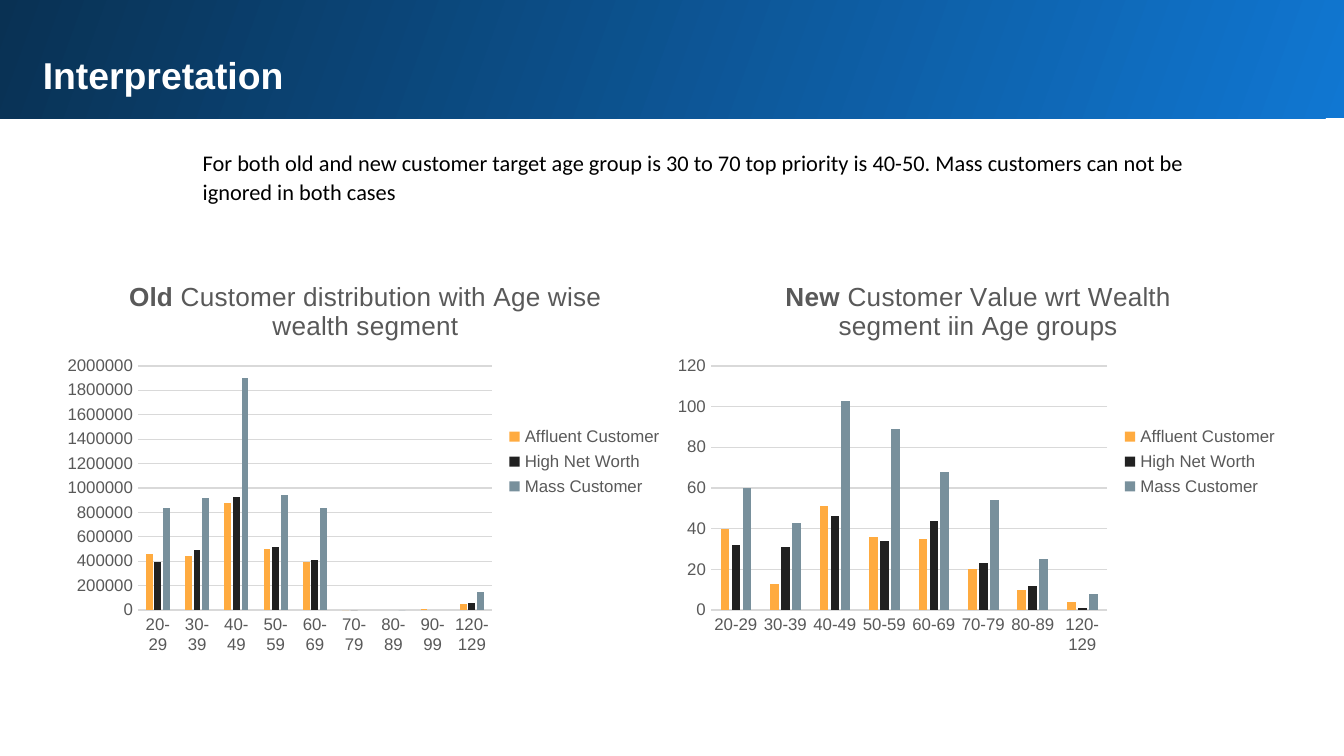
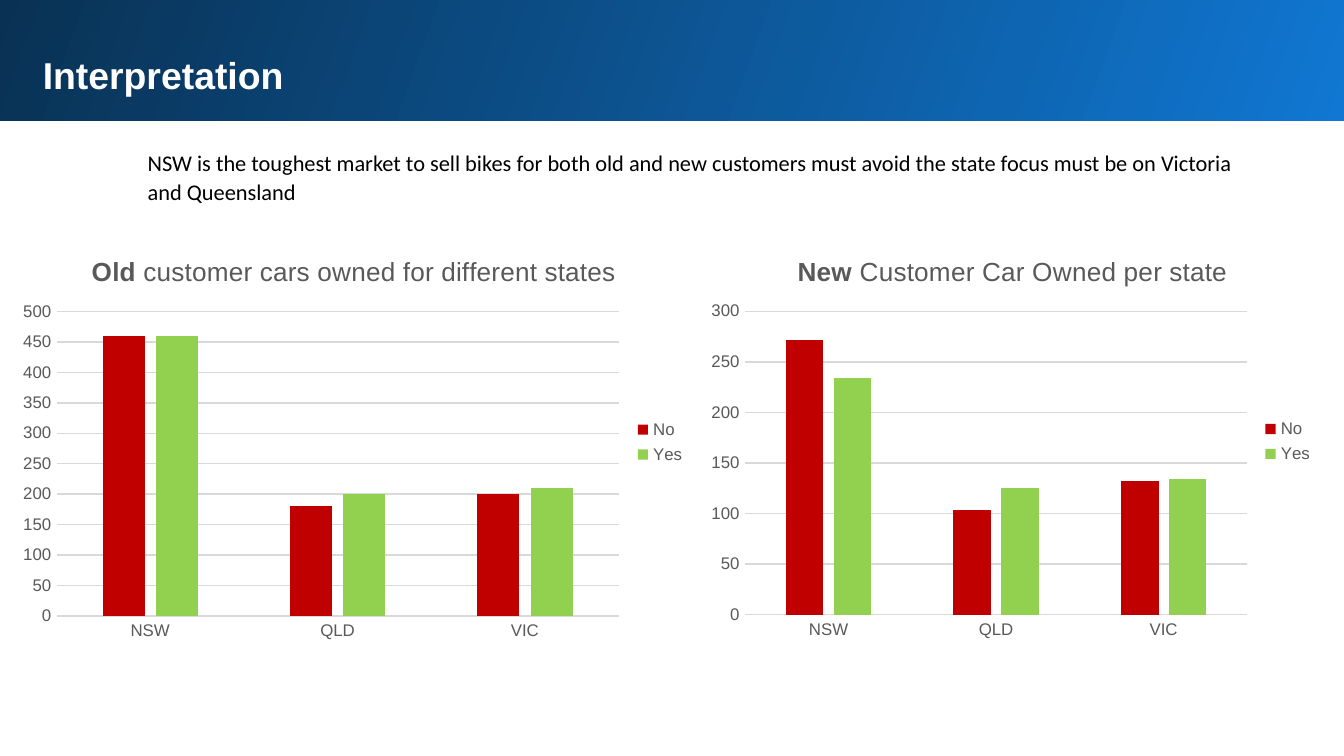
from pptx import Presentation
from pptx.chart.data import CategoryChartData
from pptx.dml.color import RGBColor
from pptx.enum.chart import XL_CHART_TYPE, XL_LEGEND_POSITION, XL_TICK_MARK
from pptx.enum.shapes import MSO_SHAPE
from pptx.enum.text import MSO_AUTO_SIZE
from pptx.util import Inches, Pt

BRIGHT_BLUE = RGBColor(0x10, 0x77, 0xD2)
NAVY = RGBColor(0x09, 0x31, 0x53)
WHITE = RGBColor(0xFF, 0xFF, 0xFF)
BLACK = RGBColor(0x00, 0x00, 0x00)
GRAY = RGBColor(0x59, 0x59, 0x59)
GRID_GRAY = RGBColor(0xD9, 0xD9, 0xD9)

WEALTH_COLORS = {
    "Affluent Customer": RGBColor(0xFF, 0xAB, 0x40),
    "High Net Worth": RGBColor(0x21, 0x21, 0x21),
    "Mass Customer": RGBColor(0x78, 0x90, 0x9C),
}
CAR_COLORS = {
    "No": RGBColor(0xC0, 0x00, 0x00),
    "Yes": RGBColor(0x92, 0xD0, 0x50),
}

STATES = ["NSW", "QLD", "VIC"]
DECADES = [f"{age}-{age + 9}" for age in range(20, 100, 10)]
OLDEST = "120-129"


def inches(box):
    return [Inches(length) for length in box]


def style_font(font, name, size, color, bold=False):
    font.name = name
    font.size = Pt(size)
    font.bold = bold
    font.color.rgb = color


def add_text(slide, box, text, inset, **font):
    """Add a one-run text box and return its paragraph."""
    frame = slide.shapes.add_textbox(*inches(box)).text_frame
    frame.word_wrap = True
    frame.auto_size = MSO_AUTO_SIZE.SHAPE_TO_FIT_TEXT
    frame.margin_top = frame.margin_bottom = Inches(inset)
    paragraph = frame.paragraphs[0]
    run = paragraph.add_run()
    run.text = text
    style_font(run.font, **font)
    return paragraph


def add_header(slide, band_top, title_height):
    band = slide.shapes.add_shape(
        MSO_SHAPE.RECTANGLE, *inches((-0.02, band_top, 10.05, 0.92)))
    band.shadow.inherit = False
    band.line.fill.background()
    band.fill.gradient()
    band.fill.gradient_angle = 160
    for stop, color in zip(band.fill.gradient_stops, (BRIGHT_BLUE, NAVY)):
        stop.color.rgb = color
    add_text(slide, (0.22, 0.29, 9.37, title_height), "Interpretation", 0.1,
             name="Arial", size=20, color=WHITE, bold=True)


def add_finding(slide, box, text):
    paragraph = add_text(slide, box, text, 0.05,
                         name="Calibri", size=12, color=BLACK)
    paragraph.level = 2
    paragraph.line_spacing = 1.07
    properties = paragraph._p.get_or_add_pPr()
    properties.set("marL", str(Inches(1)))
    properties.set("indent", "0")


def style_axis(axis):
    axis.major_tick_mark = axis.minor_tick_mark = XL_TICK_MARK.NONE
    style_font(axis.tick_labels.font, "Arial", 9, GRAY)


def add_column_chart(slide, box, title, categories, values, colors):
    """Add clustered columns; title is a (bold part, plain part) pair."""
    data = CategoryChartData()
    data.categories = categories
    for name, series_values in zip(colors, values):
        data.add_series(name, series_values)
    chart = slide.shapes.add_chart(
        XL_CHART_TYPE.COLUMN_CLUSTERED, *inches(box), data).chart
    style_font(chart.font, "Arial", 10, BLACK)

    heading = chart.chart_title.text_frame.paragraphs[0]
    for text, bold in zip(title, (True, False)):
        run = heading.add_run()
        run.text = text
        style_font(run.font, "Arial", 14, GRAY, bold)
    chart.chart_title.include_in_layout = False

    chart.has_legend = True
    chart.legend.position = XL_LEGEND_POSITION.RIGHT
    chart.legend.include_in_layout = False
    style_font(chart.legend.font, "Arial", 9, GRAY)

    style_axis(chart.category_axis)
    style_axis(chart.value_axis)
    chart.value_axis.format.line.fill.background()
    for line in (chart.category_axis.format.line,
                 chart.value_axis.major_gridlines.format.line):
        line.color.rgb = GRID_GRAY
        line.width = Pt(0.75)

    plot = chart.plots[0]
    plot.vary_by_categories = False
    plot.gap_width = 219
    plot.overlap = -27
    for series, color in zip(plot.series, colors.values()):
        series.format.fill.solid()
        series.format.fill.fore_color.rgb = color
        series.invert_if_negative = False


def build_age_slide(slide):
    add_header(slide, -0.04, 0.54)
    add_finding(slide, (0.41, 1.05, 9.03, 0.52),
                "For both old and new customer target age group is 30 to 70 "
                "top priority is 40-50. Mass customers can not be ignored in "
                "both cases")
    add_column_chart(
        slide, (0.41, 1.94, 4.62, 2.99),
        ("Old", " Customer distribution with Age wise wealth segment"),
        DECADES + [OLDEST],
        [(460000, 440000, 880000, 500000, 390000, 0, None, 10000, 50000),
         (390000, 490000, 930000, 520000, 410000, 0, None, None, 60000),
         (840000, 920000, 1900000, 940000, 840000, None, 0, None, 150000)],
        WEALTH_COLORS)
    add_column_chart(
        slide, (4.95, 1.94, 4.66, 2.99),
        ("New", " Customer Value wrt Wealth segment iin Age groups"),
        DECADES[:-1] + [OLDEST],
        [(40, 13, 51, 36, 35, 20, 10, 4),
         (32, 31, 46, 34, 44, 23, 12, 1),
         (60, 43, 103, 89, 68, 54, 25, 8)],
        WEALTH_COLORS)


def build_state_slide(slide):
    add_header(slide, -0.02, 0.83)
    add_finding(slide, (0, 1.05, 9.52, 0.52),
                "NSW is the toughest market to sell bikes for both old and "
                "new customers must avoid the state focus must be on Victoria "
                "and Queensland")
    add_column_chart(
        slide, (0.07, 1.75, 5.13, 3.08),
        ("Old", " customer cars owned for different states"),
        STATES, [(460, 180, 200), (460, 200, 210)], CAR_COLORS)
    add_column_chart(
        slide, (5.2, 1.75, 4.67, 3.07),
        ("New", " Customer Car Owned per state"),
        STATES, [(272, 103, 132), (234, 125, 134)], CAR_COLORS)


def main():
    deck = Presentation()
    deck.slide_width = Inches(10)
    deck.slide_height = deck.slide_width * 9 // 16
    blank = deck.slide_layouts[6]
    for build in (build_age_slide, build_state_slide):
        build(deck.slides.add_slide(blank))
    deck.save("out.pptx")


if __name__ == "__main__":
    main()
